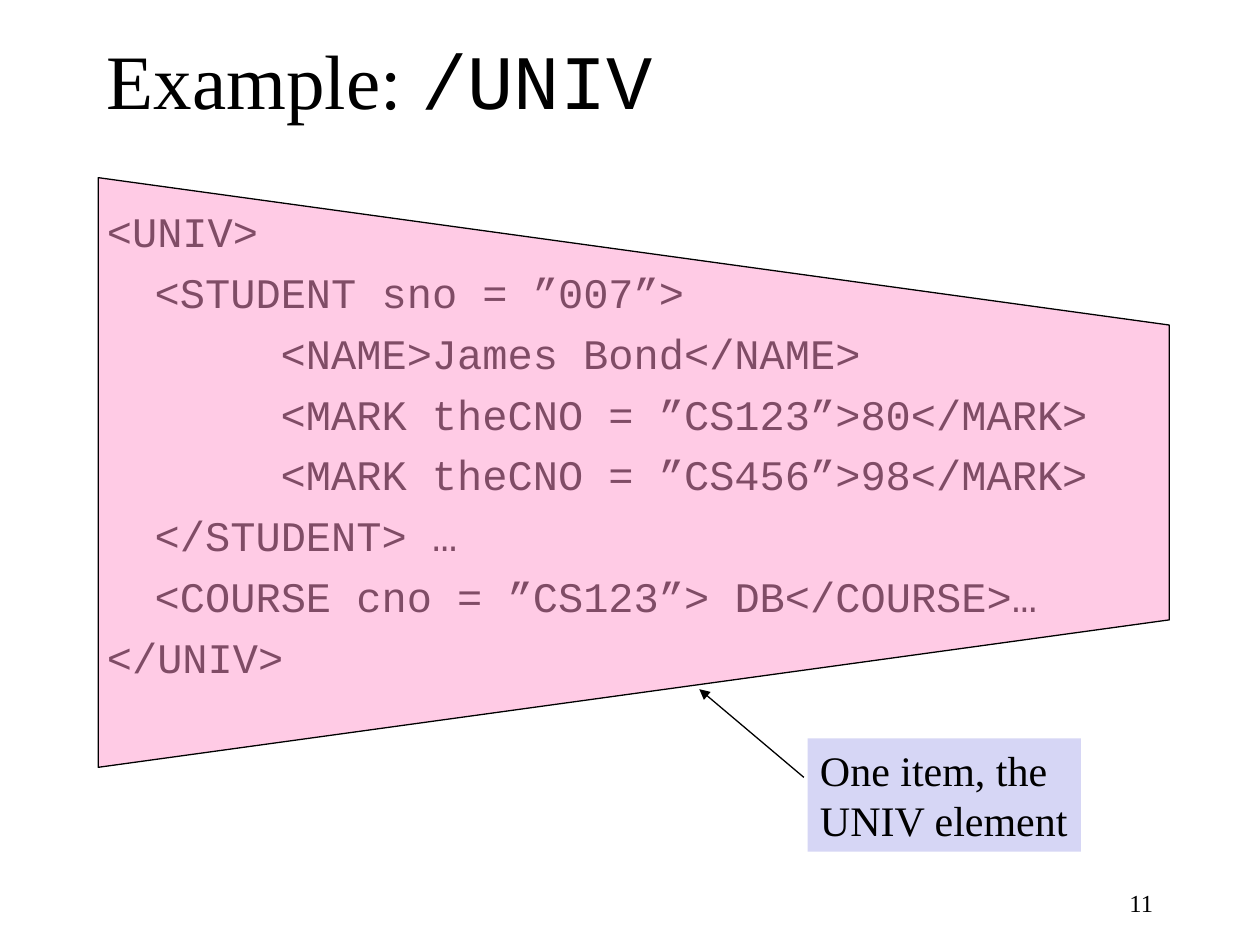
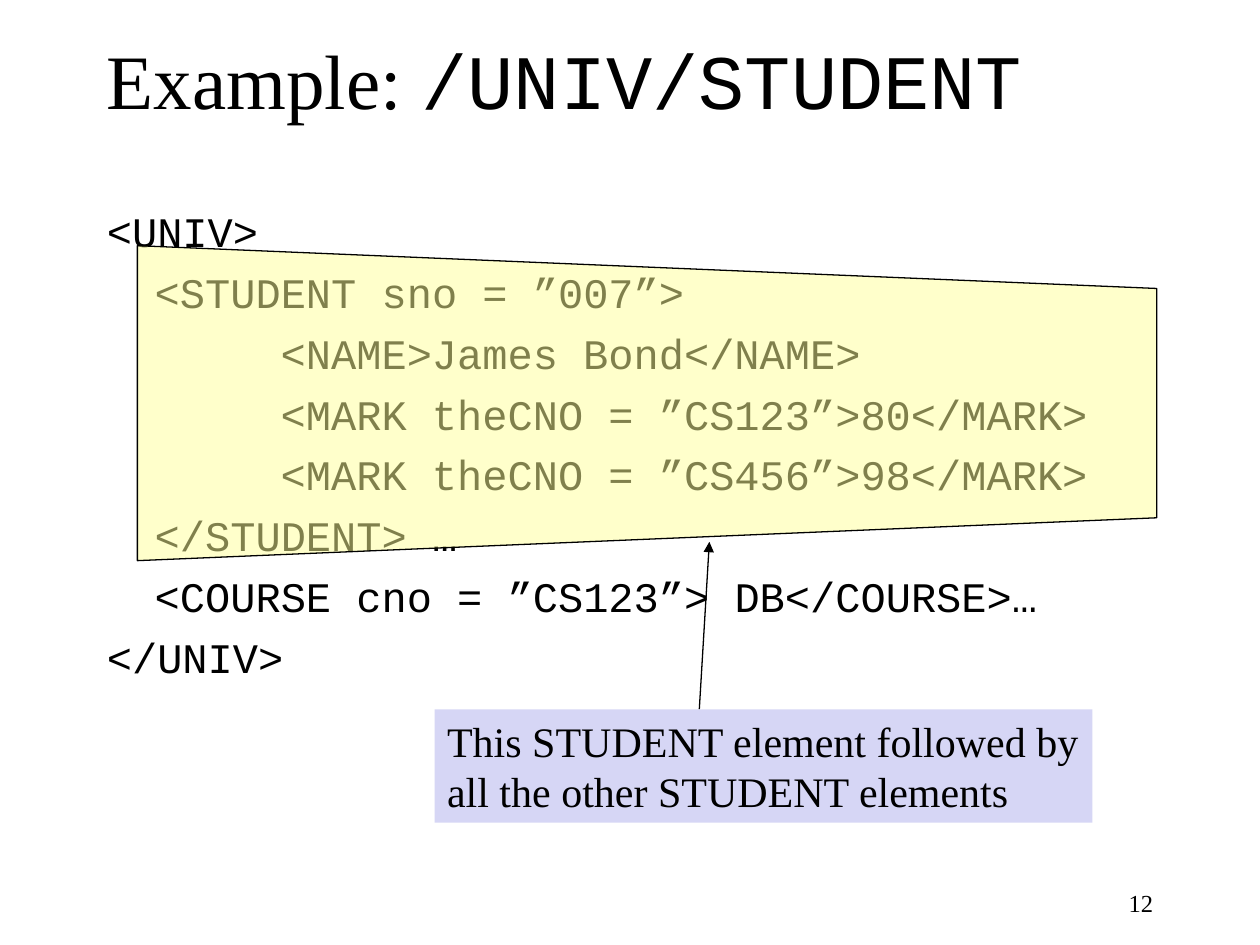
from lxml import etree
from pptx import Presentation
from pptx.dml.color import RGBColor
from pptx.enum.shapes import MSO_CONNECTOR, MSO_SHAPE
from pptx.enum.text import MSO_ANCHOR, PP_ALIGN
from pptx.oxml.ns import qn
from pptx.util import Pt

PX = 9144  # EMU per px, 100 px to the inch
LEFT, RIGHT = PP_ALIGN.LEFT, PP_ALIGN.RIGHT
TOP, MIDDLE = MSO_ANCHOR.TOP, MSO_ANCHOR.MIDDLE
STRAIGHT, RECTANGLE = MSO_CONNECTOR.STRAIGHT, MSO_SHAPE.RECTANGLE

SERIF, MONO = "Times New Roman", "Courier New"
BLACK, CALLOUT_FILL = "000000", "D6D6F5"
LINE_WIDTH = Pt(0.75)
TITLE_BOX = (75, 0, 850, 125)
CODE_BOX = (75, 158, 850, 508)
NUMBER_BOX = (717, 700, 208, 33)
CODE_INDENTS = (0, 38, 138)
LINE_FORMAT = {"line_spacing": Pt(28.8)}

CODE_LINES = [
    (0, "<UNIV>"),
    (1, "<STUDENT sno = ”007”>"),
    (2, "<NAME>James Bond</NAME>"),
    (2, "<MARK theCNO = ”CS123”>80</MARK>"),
    (2, "<MARK theCNO = ”CS456”>98</MARK>"),
    (1, "</STUDENT> …"),
    (1, "<COURSE cno = ”CS123”> DB</COURSE>…"),
    (0, "</UNIV>"),
]

EXAMPLES = [
    {
        "number": 11,
        "query": "/UNIV",
        "highlight": ((78, 141, 850, 468), 117, "FF99CC"),
        "arrow": ((638, 617), (555, 547)),
        "callout": ((641, 586, 217, 90), ["One item, the", "UNIV element"]),
    },
    {
        "number": 12,
        "query": "/UNIV/STUDENT",
        "highlight": ((109, 195, 809, 250), 34, "FFFF99"),
        "arrow": ((555, 563), (563, 430)),
        "callout": ((345, 563, 522, 90),
                    ["This STUDENT element followed by",
                     "all the other STUDENT elements"]),
    },
]


def color(value):
    return RGBColor.from_string(value)


def emu(lengths):
    return [length * PX for length in lengths]


def apply(target, formats):
    for name, value in formats.items():
        setattr(target, name, value)


def write_lines(frame, lines, paragraph_format, size):
    """Write one paragraph per line; a line is a list of (text, font name) runs."""
    for index, runs in enumerate(lines):
        paragraph = frame.paragraphs[0] if index == 0 else frame.add_paragraph()
        apply(paragraph, paragraph_format)
        for text, font_name in runs:
            run = paragraph.add_run()
            run.text = text
            apply(run.font, {"name": font_name, "size": Pt(size)})
            run.font.color.rgb = color(BLACK)


def add_text(slide, box, lines, size, paragraph_format, anchor=TOP):
    frame = slide.shapes.add_textbox(*emu(box)).text_frame
    apply(frame, {"word_wrap": True, "vertical_anchor": anchor})
    write_lines(frame, lines, {"alignment": LEFT, **paragraph_format}, size)
    return frame


def add_title(slide, query):
    add_text(slide, TITLE_BOX, [[("Example: ", SERIF), (query, MONO)]], 44, {}, MIDDLE)


def add_code(slide):
    lines = [[(text, MONO)] for _, text in CODE_LINES]
    frame = add_text(slide, CODE_BOX, lines, 24, {"space_before": Pt(6), **LINE_FORMAT})
    for paragraph, (level, _) in zip(frame.paragraphs, CODE_LINES):
        properties = paragraph._p.get_or_add_pPr()
        properties.set("marL", str(CODE_INDENTS[level] * PX))
        properties.set("indent", "0")


def add_number(slide, number):
    add_text(slide, NUMBER_BOX, [[(str(number), SERIF)]], 14, {"alignment": RIGHT})


def add_highlight(slide, box, slant, fill):
    """Draw a half-transparent trapezoid whose right side is shorter by slant at each end."""
    left, top, width, height = box
    corners = [(width, slant), (width, height - slant), (0, height)]
    builder = slide.shapes.build_freeform(0, 0, scale=PX)
    builder.add_line_segments(corners, close=True)
    shape = builder.convert_to_shape(left * PX, top * PX)
    shape.shadow.inherit = False
    shape.fill.solid()
    shape.fill.fore_color.rgb = color(fill)
    fill_color = shape._element.spPr.find(qn("a:solidFill"))[0]
    etree.SubElement(fill_color, qn("a:alpha"), val="50000")
    shape.line.color.rgb = color(BLACK)
    shape.line.width = LINE_WIDTH


def add_arrow(slide, start, end):
    connector = slide.shapes.add_connector(STRAIGHT, *emu(start + end))
    connector.line.color.rgb = color(BLACK)
    connector.line.width = LINE_WIDTH
    properties = connector._element.spPr
    etree.SubElement(properties.find(qn("a:ln")), qn("a:tailEnd"), type="triangle")
    etree.SubElement(properties, qn("a:effectLst"))


def add_callout(slide, box, lines):
    shape = slide.shapes.add_shape(RECTANGLE, *emu(box))
    shape.shadow.inherit = False
    shape.fill.solid()
    shape.fill.fore_color.rgb = color(CALLOUT_FILL)
    shape.line.fill.background()
    frame = shape.text_frame
    apply(frame, {"word_wrap": False, "vertical_anchor": TOP})
    write_lines(frame, [[(text, SERIF)] for text in lines],
                {"alignment": LEFT, **LINE_FORMAT}, 24)


def add_example(presentation, example):
    slide = presentation.slides.add_slide(presentation.slide_layouts[6])
    add_title(slide, example["query"])
    add_code(slide)
    add_number(slide, example["number"])
    add_highlight(slide, *example["highlight"])
    add_arrow(slide, *example["arrow"])
    add_callout(slide, *example["callout"])


def main():
    presentation = Presentation()
    apply(presentation, {"slide_width": 1000 * PX, "slide_height": 750 * PX})
    for example in EXAMPLES:
        add_example(presentation, example)
    presentation.save("out.pptx")


if __name__ == "__main__":
    main()
